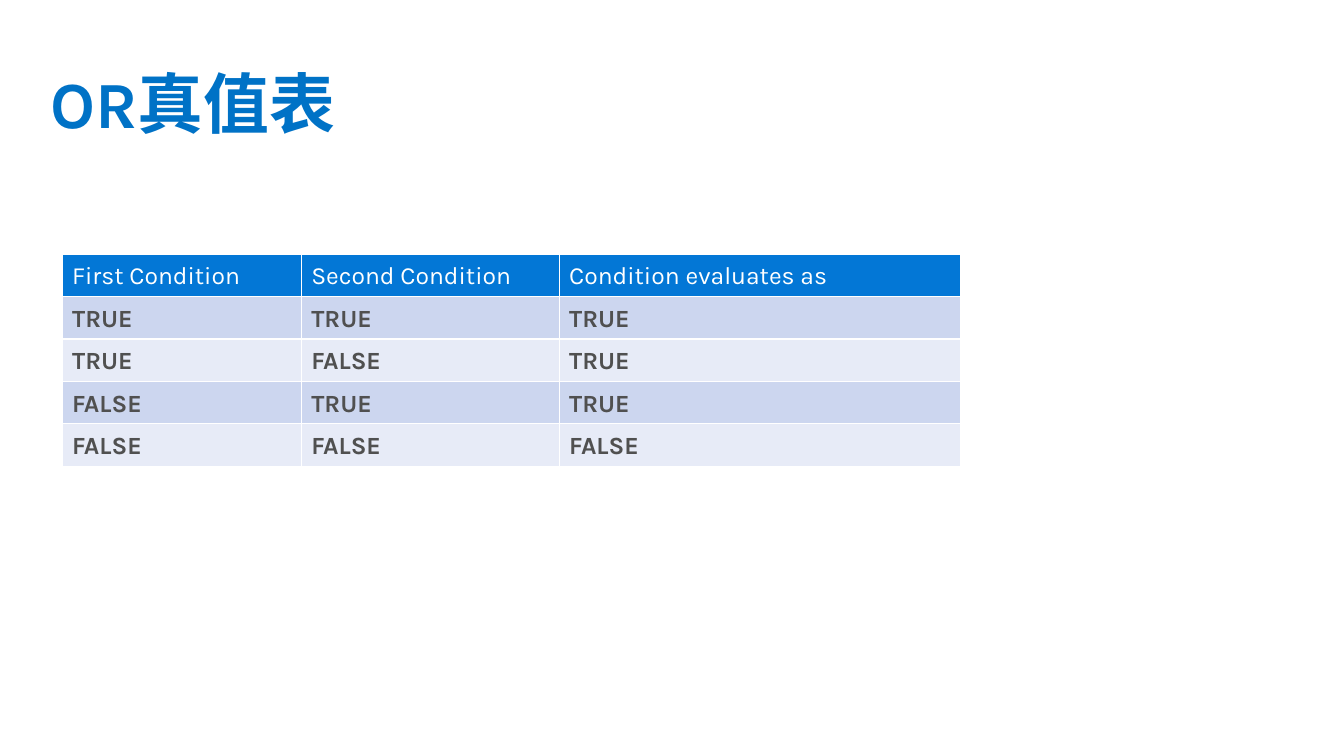
from lxml.etree import SubElement
from pptx import Presentation
from pptx.dml.color import RGBColor
from pptx.enum.text import MSO_ANCHOR, MSO_AUTO_SIZE, PP_ALIGN
from pptx.oxml.ns import qn
from pptx.util import Pt

PX = 9144  # EMU per px, 100 px to the inch
FONT = "Karla"
COLORS = {
    "title": "0072C6",
    "header": "0377D6",
    "odd_row": "CCD6EF",
    "even_row": "E7EBF7",
    "body_text": "505050",
    "white": "FFFFFF",
}


def add_text(paragraph, text, size, color, bold):
    run = paragraph.add_run()
    run.text = text
    run.font.name = FONT
    run.font.size = Pt(size)
    run.font.bold = bold
    run.font.color.rgb = RGBColor.from_string(COLORS[color])


def add_borders(cell, color, width):
    properties = cell._tc.get_or_add_tcPr()
    for position, side in enumerate(("a:lnL", "a:lnR", "a:lnT", "a:lnB")):
        line = SubElement(properties, qn(side), w=str(Pt(width)))
        fill = SubElement(line, qn("a:solidFill"))
        SubElement(fill, qn("a:srgbClr"), val=COLORS[color])
        properties.insert(position, line)  # borders come before the cell fill


presentation = Presentation()
presentation.slide_width = 1360 * PX
presentation.slide_height = 765 * PX
slide = presentation.slides.add_slide(presentation.slide_layouts[5])

# Title
title = slide.shapes.title
title.left, title.top, title.width, title.height = 41 * PX, 67 * PX, 1280 * PX, 100 * PX
title_frame = title.text_frame
title_frame.word_wrap = True
title_frame.auto_size = MSO_AUTO_SIZE.NONE
title_frame.vertical_anchor = MSO_ANCHOR.TOP
title_paragraph = title_frame.paragraphs[0]
title_paragraph.alignment = PP_ALIGN.LEFT
title_paragraph.line_spacing = 0.9
add_text(title_paragraph, "OR真值表", 48, "title", True)

# Truth table
rows = [
    ("First Condition", "Second Condition", "Condition evaluates as"),
    ("TRUE", "TRUE", "TRUE"),
    ("TRUE", "FALSE", "TRUE"),
    ("FALSE", "TRUE", "TRUE"),
    ("FALSE", "FALSE", "FALSE"),
]
column_widths = [242, 261, 406]
row_height = 43
table = slide.shapes.add_table(
    len(rows), len(column_widths), 63 * PX, 257 * PX,
    sum(column_widths) * PX, len(rows) * row_height * PX,
).table
for column, width in zip(table.columns, column_widths):
    column.width = width * PX

for row_index, row in enumerate(rows):
    is_header = row_index == 0
    fill_color = "header" if is_header else ("even_row", "odd_row")[row_index % 2]
    text_color = "white" if is_header else "body_text"
    for column_index, text in enumerate(row):
        cell = table.cell(row_index, column_index)
        cell.fill.solid()
        cell.fill.fore_color.rgb = RGBColor.from_string(COLORS[fill_color])
        add_borders(cell, "white", 0.91)
        paragraph = cell.text_frame.paragraphs[0]
        paragraph.line_spacing = 1.11
        add_text(paragraph, text, 18, text_color, not is_header)

presentation.save("out.pptx")
